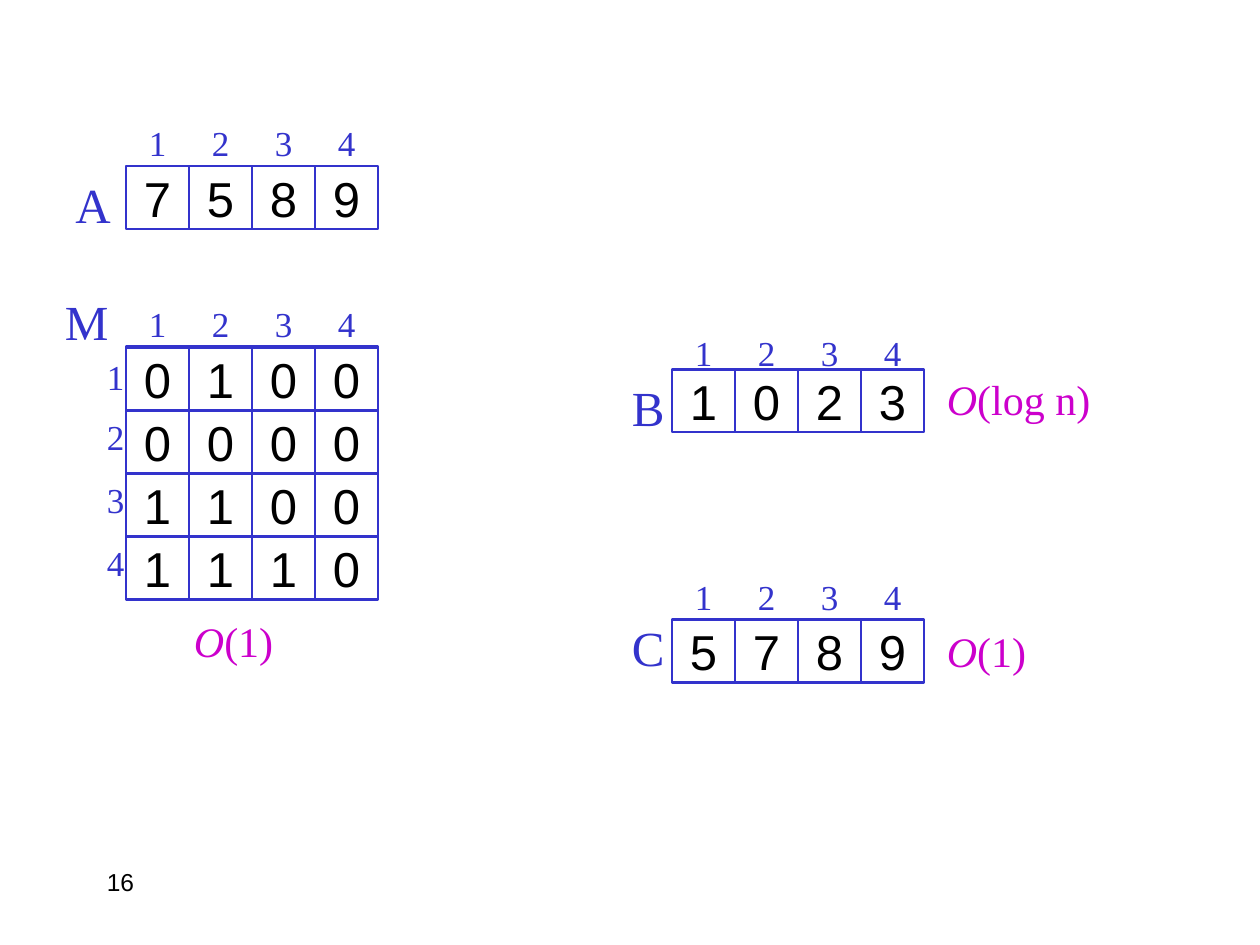
import pptx
import pptx.util
import pptx.dml.color
import pptx.enum.shapes
import pptx.enum.text
from dataclasses import dataclass
from lxml import etree

Pt = pptx.util.Pt
Align = pptx.enum.text.PP_ALIGN
Fit = pptx.enum.text.MSO_AUTO_SIZE
RGB = pptx.dml.color.RGBColor.from_string


@dataclass(frozen=True)
class Theme:
    font: str = "Times New Roman"
    digit: str = "Arial"
    ink: str = "000000"
    blue: str = "3333CC"
    pink: str = "CC00CC"
    white: str = "FFFFFF"
    big: int = 28
    cost: int = 24
    index: int = 20
    page: int = 14
    line: float = 1.5


theme = Theme()
side = 36

deck = pptx.Presentation()
deck.slide_width, deck.slide_height = Pt(720), Pt(540)
slide = deck.slides.add_slide(deck.slide_layouts[6])


def style(para, size, color, rtl=False):
    """Format the runs; right-to-left digits take the complex-script font."""
    if rtl:
        para._p.get_or_add_pPr().set("rtl", "1")
    for run in para.runs:
        run.font.name = theme.font
        run.font.size = Pt(size)
        run.font.color.rgb = RGB(color)
        if rtl:
            tag = pptx.oxml.ns.qn("a:cs")
            etree.SubElement(run._r.get_or_add_rPr(), tag, typeface=theme.digit)


def label(x, y, w, h, parts, size, color, align=Align.LEFT):
    """Add a text box with half a line of space before its text."""
    box = slide.shapes.add_textbox(Pt(x), Pt(y), Pt(w), Pt(h))
    frame = box.text_frame
    frame.word_wrap = True
    frame.auto_size = Fit.SHAPE_TO_FIT_TEXT
    para = frame.paragraphs[0]
    for part in parts:
        para.add_run().text = part
    para.alignment = align
    para.space_before = Pt(0)
    space = para._p.pPr.find(pptx.oxml.ns.qn("a:spcBef"))
    space.remove(space[0])
    etree.SubElement(space, pptx.oxml.ns.qn("a:spcPct"), val="50000")
    style(para, size, color)
    return para


# Page number
box = slide.shapes.add_textbox(Pt(54), Pt(492), Pt(150), Pt(36))
box.text_frame.word_wrap = True
para = box.text_frame.paragraphs[0]
para.text = "16"
para.alignment = Align.LEFT
style(para, theme.page, theme.ink, rtl=True)

# Array names: text, left, top
for name, x, y in [("A", 36, 96), ("M", 30, 163.2),
                   ("B", 354, 212.4), ("C", 354, 349.2)]:
    label(x, y, 36, 41, [name], theme.big, theme.blue)

# Column numbers: left of the grid, top of the numbers
for left, top in [(72, 66), (72, 169.2), (384, 186), (384, 325.4)]:
    for col in range(4):
        label(left + 6 + col * side, top, 24, 31, [str(col + 1)],
              theme.index, theme.blue)

# Row numbers of the matrix
for row, top in enumerate([199.4, 234, 270, 306], 1):
    label(54, top, 24, 31, [str(row)], theme.index, theme.blue)

# Cells: left, top, rows; the matrix lies on an empty grid
grids = [
    (72, 95, ["7589"]),
    (72, 198, [" " * 4] * 4),
    (72, 198.7, ["0100", "0000", "1100", "1110"]),
    (384, 211, ["1023"]),
    (384, 354, ["5789"]),
]
for left, top, rows in grids:
    for row, line in enumerate(rows):
        for col, value in enumerate(line):
            cell = slide.shapes.add_shape(
                pptx.enum.shapes.MSO_SHAPE.RECTANGLE,
                Pt(left + col * side), Pt(top + row * side), Pt(side), Pt(side))
            cell.shadow.inherit = False
            cell.fill.solid()
            cell.fill.fore_color.rgb = RGB(theme.white)
            cell.line.color.rgb = RGB(theme.blue)
            cell.line.width = Pt(theme.line)
            if value.strip():
                frame = cell.text_frame
                frame.word_wrap = False
                frame.vertical_anchor = pptx.enum.text.MSO_ANCHOR.MIDDLE
                para = frame.paragraphs[0]
                para.text = value
                para.alignment = Align.CENTER
                style(para, theme.big, theme.ink, rtl=True)

# Costs: left, top, width, argument, alignment
for x, y, w, arg, align in [(102, 348, 61.2, "(1)", Align.RIGHT),
                            (534, 210, 102, "(log n)", Align.LEFT),
                            (534, 354, 102, "(1)", Align.LEFT)]:
    para = label(x, y, w, 36, ["O", arg], theme.cost, theme.pink, align)
    para.runs[0].font.italic = True

deck.save("out.pptx")
